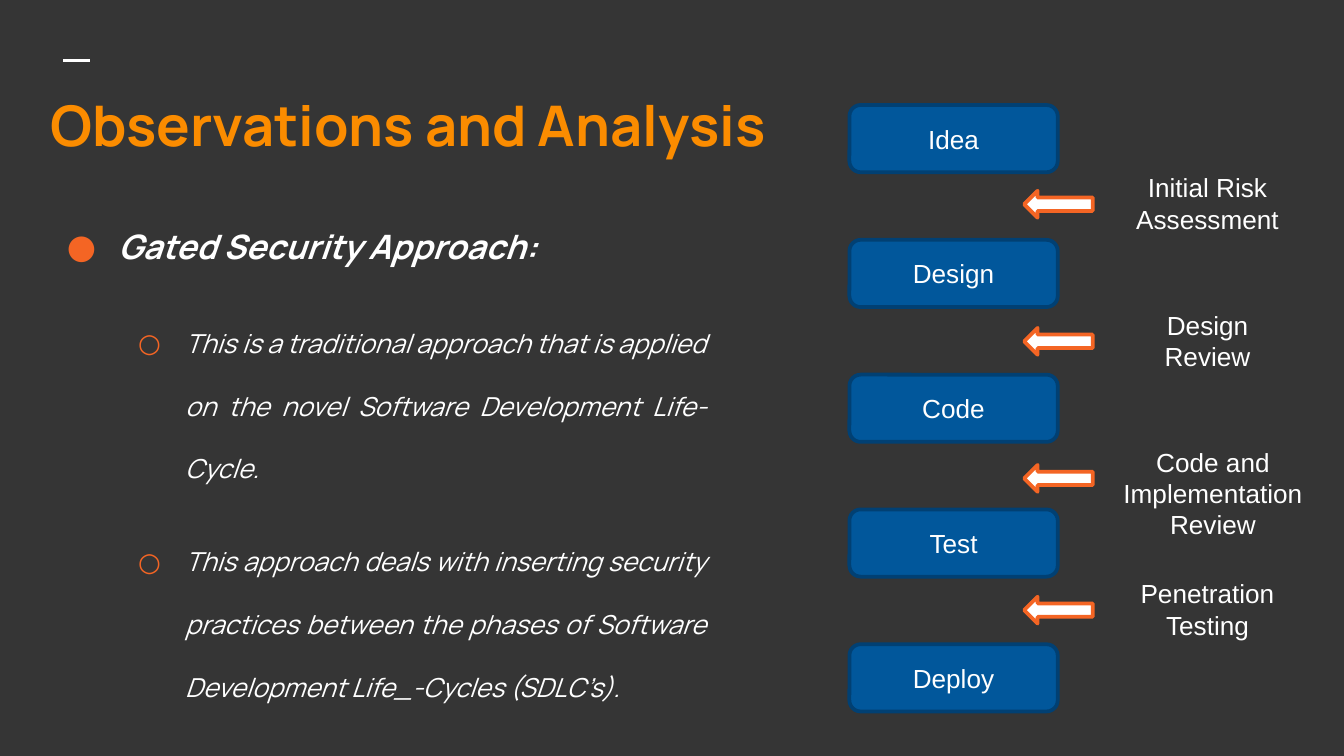
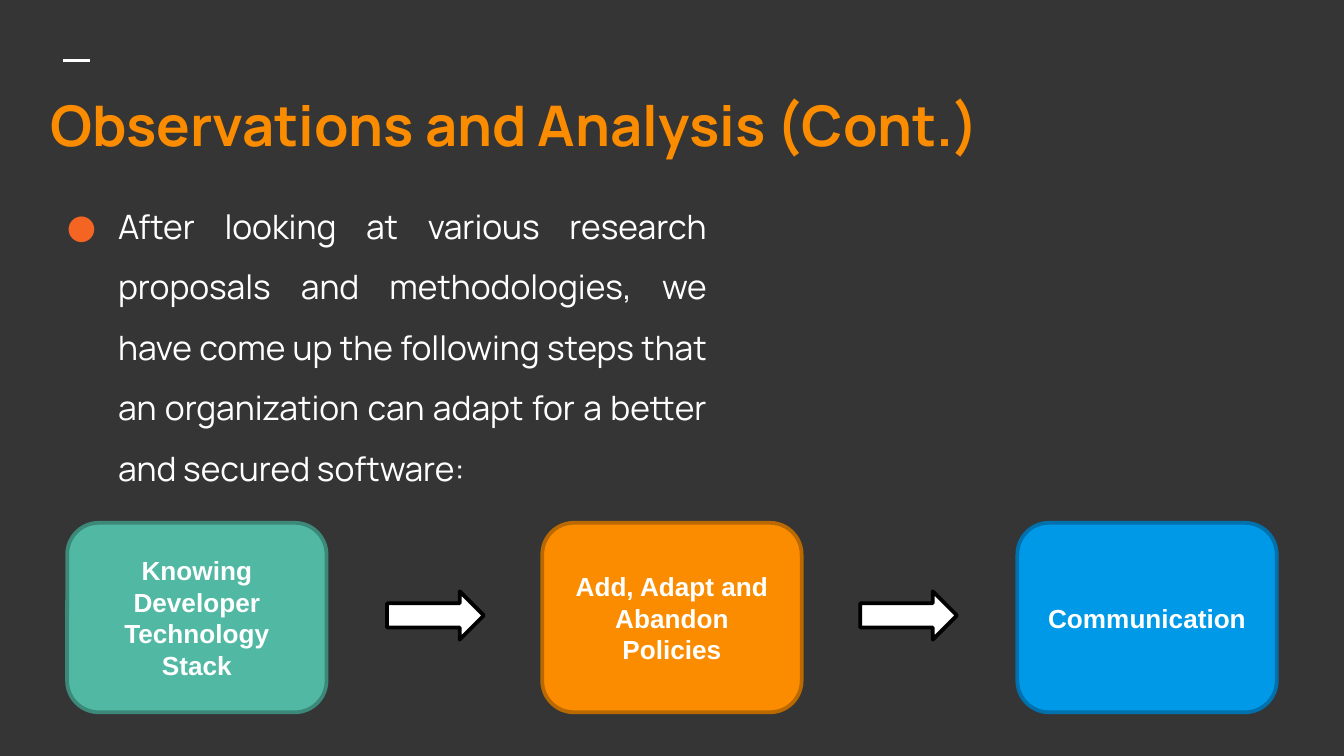
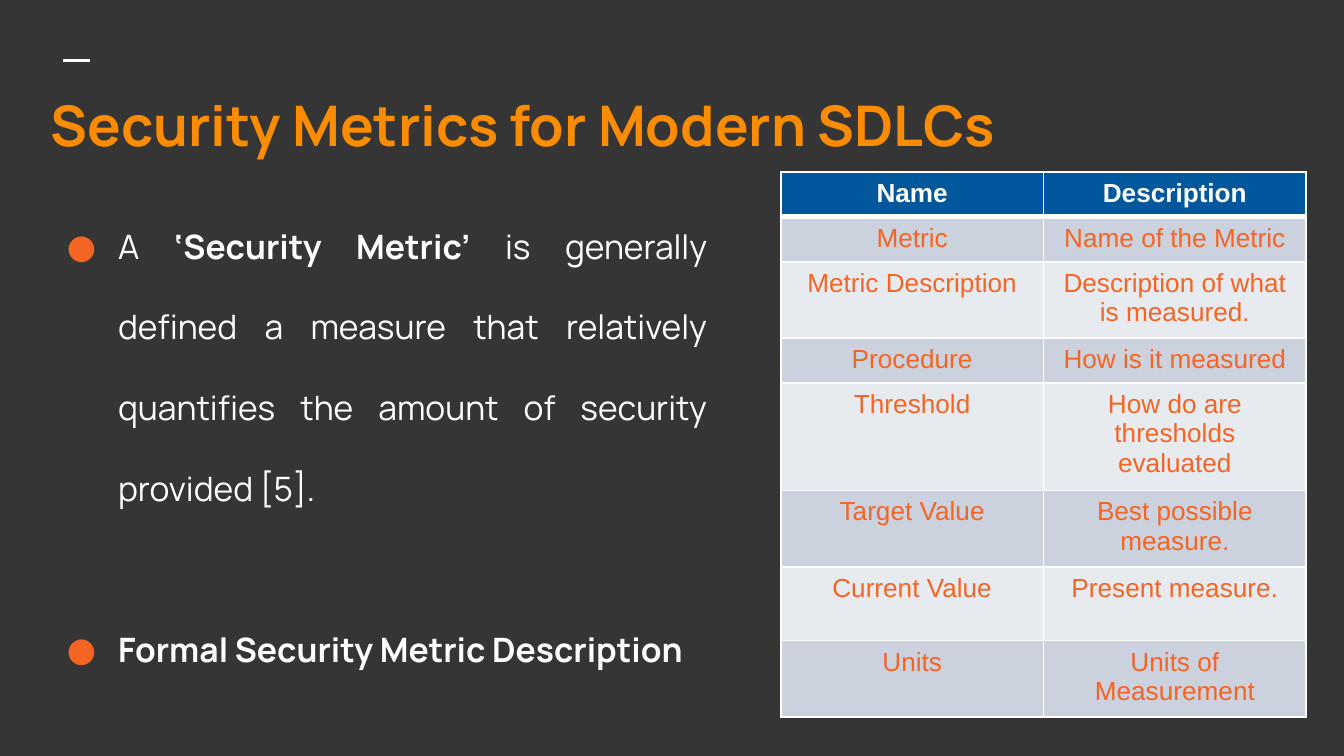
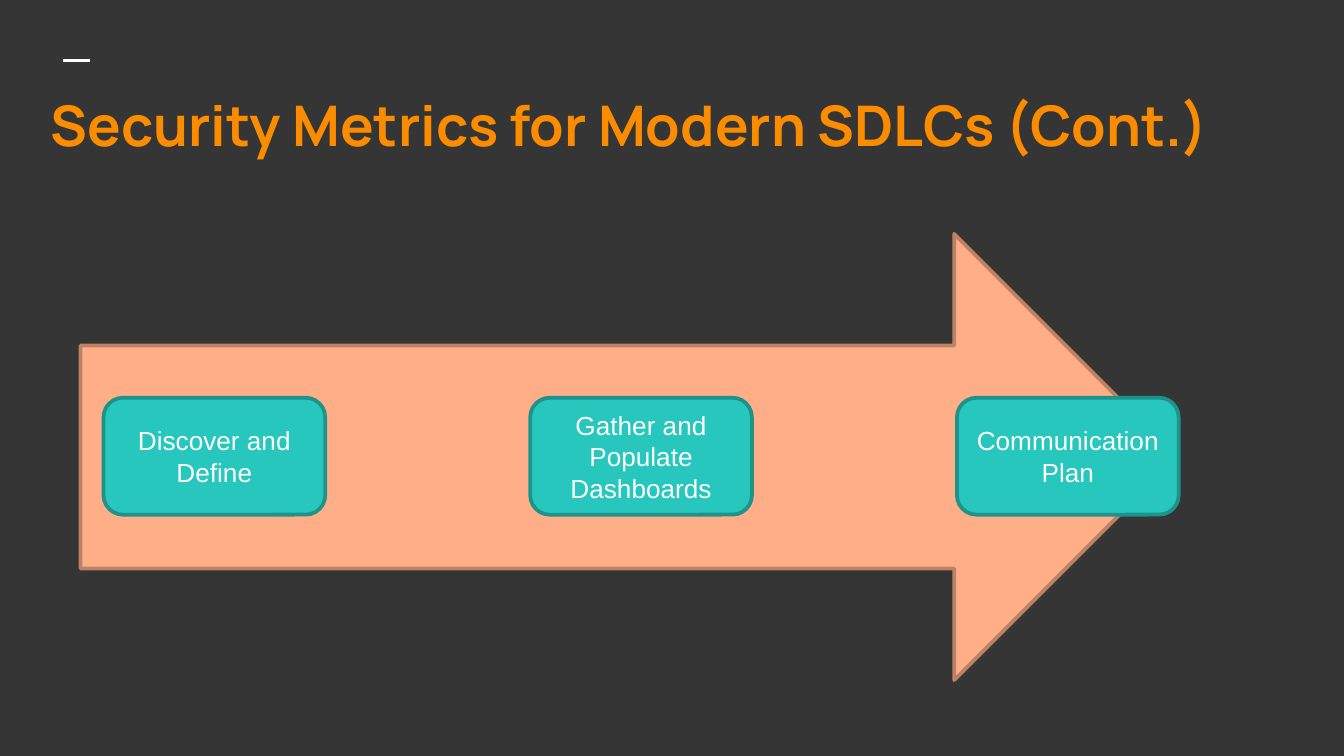
from lxml.etree import SubElement
from pptx import Presentation
from pptx.dml.color import RGBColor
from pptx.enum.shapes import MSO_CONNECTOR, MSO_SHAPE as Preset
from pptx.enum.text import MSO_ANCHOR as Anchor, PP_ALIGN as Align
from pptx.oxml.ns import qn
from pptx.util import Inches, Pt

# Colours and fonts
CHARCOAL = RGBColor(0x35, 0x35, 0x35)
WHITE = RGBColor(0xFF, 0xFF, 0xFF)
BLACK = RGBColor(0x00, 0x00, 0x00)
AMBER = RGBColor(0xFB, 0x8C, 0x00)
DARK_AMBER = RGBColor(0xBA, 0x68, 0x00)
ORANGE = RGBColor(0xF4, 0x65, 0x24)
NAVY = RGBColor(0x01, 0x57, 0x9B)
DARK_NAVY = RGBColor(0x01, 0x40, 0x73)
GREEN = RGBColor(0x51, 0xB9, 0xA3)
DARK_GREEN = RGBColor(0x3C, 0x89, 0x79)
SKY = RGBColor(0x00, 0x99, 0xE8)
DARK_SKY = RGBColor(0x00, 0x71, 0xAC)
PEACH = RGBColor(0xFF, 0xAE, 0x88)
DARK_PEACH = RGBColor(0xBD, 0x81, 0x65)
TEAL = RGBColor(0x27, 0xC7, 0xBD)
DARK_TEAL = RGBColor(0x1D, 0x93, 0x8C)
BAND = RGBColor(0xCC, 0xD1, 0xDE)
PALE_BAND = RGBColor(0xE7, 0xEA, 0xEF)
HEADING_FONT = "Manrope"
LABEL_FONT = "Arial"

# Square grid: all places and sizes are counted in its columns and rows
COLUMNS, ROWS = 100, 56.25


def add_bullet(paragraph, character, margin, indent):
    properties = paragraph._p.get_or_add_pPr()
    properties.set("marL", str(Inches(margin)))
    properties.set("indent", str(Inches(indent)))
    color = SubElement(properties, qn("a:buClr"))
    SubElement(color, qn("a:srgbClr"), val=str(ORANGE))
    SubElement(properties, qn("a:buFont"), typeface=HEADING_FONT)
    SubElement(properties, qn("a:buChar"), char=character)


def write(frame, text, size=14, font=LABEL_FONT, color=WHITE, bold=False, italic=False,
          align=Align.CENTER, spacing=None, before=None, level=0, bullet=None):
    """Add a paragraph; text is a string or a list of (string, bold) pairs."""
    paragraph = frame.paragraphs[0]
    if paragraph.runs:
        paragraph = frame.add_paragraph()
    paragraph.alignment = align
    paragraph.level = level
    if spacing:
        paragraph.line_spacing = spacing
    if before:
        paragraph.space_before = Pt(before)
    if bullet:
        add_bullet(paragraph, *bullet)
    for words, is_bold in [(text, bold)] if isinstance(text, str) else text:
        run = paragraph.add_run()
        run.text = words
        run.font.size, run.font.name = Pt(size), font
        run.font.bold, run.font.italic = is_bold, italic
        run.font.color.rgb = color


def write_point(frame, text, **format):
    write(frame, text, **{"size": 18, "font": HEADING_FONT, "align": Align.JUSTIFY,
                          "spacing": 2, "bullet": ("●", 0.5, -0.38), **format})


def set_border(cell, side, points):
    line = SubElement(cell._tc.get_or_add_tcPr(), qn(f"a:ln{side}"), w=str(Pt(points)))
    fill = SubElement(line, qn("a:solidFill"))
    SubElement(fill, qn("a:srgbClr"), val=str(WHITE))


class Deck:
    def __init__(self):
        self.presentation = Presentation()
        self.presentation.slide_width = Inches(10)
        self.presentation.slide_height = Inches(10) * 9 // 16
        self.slide = None

    def x(self, columns):
        return round(self.presentation.slide_width * columns / COLUMNS)

    def y(self, rows):
        return round(self.presentation.slide_height * rows / ROWS)

    def place(self, left, top, width, height):
        return self.x(left), self.y(top), self.x(width), self.y(height)

    def new_slide(self, title):
        self.slide = self.presentation.slides.add_slide(self.presentation.slide_layouts[6])
        background = self.slide.background.fill
        background.solid()
        background.fore_color.rgb = CHARCOAL
        self.dash()
        frame = self.text_box(2.8, 5.7, 94.4, 7.1, inset=1, anchor=Anchor.MIDDLE)
        write(frame, title, size=30, font=HEADING_FONT, color=AMBER, bold=True, align=Align.LEFT)

    def dash(self):
        dash = self.slide.shapes.add_connector(
            MSO_CONNECTOR.STRAIGHT, self.x(4.7), self.y(4.5), self.x(6.7), self.y(4.5))
        dash.line.color.rgb, dash.line.width = WHITE, Pt(1.5)
        SubElement(dash._element.spPr, qn("a:effectLst"))

    def text_box(self, left, top, width, height, inset=0.5, anchor=Anchor.TOP):
        frame = self.slide.shapes.add_textbox(*self.place(left, top, width, height)).text_frame
        frame.word_wrap = True
        frame.vertical_anchor = anchor
        frame.margin_top = frame.margin_bottom = self.y(inset)
        return frame

    def body(self, height=40.7):
        return self.text_box(2.8, 12.8, 50.8, height, inset=1)

    def shape(self, preset, left, top, width, height, fill, outline, text=None, **format):
        shape = self.slide.shapes.add_shape(preset, *self.place(left, top, width, height))
        shape.shadow.inherit = False
        shape.fill.solid()
        shape.fill.fore_color.rgb = fill
        shape.line.color.rgb, shape.line.width = outline, Pt(2)
        if text:
            shape.text_frame.word_wrap = True
            shape.text_frame.vertical_anchor = Anchor.MIDDLE
            write(shape.text_frame, text, **format)

    def table(self, left, top, width, heights, records):
        graphic = self.slide.shapes.add_table(
            len(records), len(records[0]), *self.place(left, top, width, sum(heights)))
        table = graphic.table
        table.horz_banding = False
        for index, (height, record) in enumerate(zip(heights, records)):
            table.rows[index].height = self.y(height)
            header = index == 0
            fill = NAVY if header else BAND if index % 2 else PALE_BAND
            borders = {"L": 1, "R": 1, "T": 3 if index == 1 else 1, "B": 3 if header else 1}
            for cell, text in zip(table.rows[index].cells, record):
                for side, points in borders.items():
                    set_border(cell, side, points)
                cell.fill.solid()
                cell.fill.fore_color.rgb = fill
                write(cell.text_frame, text, bold=header, color=WHITE if header else ORANGE)


def gated_approach(deck):
    deck.new_slide("Observations and Analysis")
    body = deck.body()
    write_point(body, "Gated Security Approach:", bold=True, italic=True)
    for text in (
        "This is a traditional approach that is applied on the novel Software "
        "Development Life-Cycle.",
        "This approach deals with inserting security practices between the phases of "
        "Software Development Life_-Cycles (SDLC’s).",
    ):
        write_point(body, text, size=14, italic=True, before=16, level=1,
                    bullet=("○", 1, -0.35))

    # Phases
    for index, phase in enumerate(("Idea", "Design", "Code", "Test", "Deploy")):
        deck.shape(Preset.ROUNDED_RECTANGLE, 63.2, 7.82 + index * 10.03, 15.5, 5,
                   NAVY, DARK_NAVY, phase)

    # Gates between the phases
    gates = (
        ("Initial Risk Assessment", 14.2, 82.5, 14.7, 5.7),
        ("Design Review", 24.4, 82.5, 14.7, 5.7),
        ("Code and Implementation Review", 34.6, 82.5, 15.5, 8.1),
        ("Penetration Testing", 44.4, 82.1, 15.5, 5.7),
    )
    for gate, top, left, width, height in gates:
        deck.shape(Preset.LEFT_ARROW, 76.2, top, 5.1, 2, WHITE, ORANGE)
        write(deck.text_box(left, top - 1.9, width, height), gate)


def proposed_steps(deck):
    deck.new_slide("Observations and Analysis (Cont.)")
    write_point(deck.body(24.7),
                "After looking at various research proposals and methodologies, we have come up "
                "the following steps that an organization can adapt for a better and secured "
                "software:", spacing=1.5)
    steps = (
        ("Knowing Developer Technology Stack", GREEN, DARK_GREEN),
        ("Add, Adapt and Abandon Policies", AMBER, DARK_AMBER),
        ("Communication", SKY, DARK_SKY),
    )
    for index, (step, fill, outline) in enumerate(steps):
        deck.shape(Preset.ROUNDED_RECTANGLE, 5 + index * 35.35, 38.9, 19.3, 14.1,
                   fill, outline, step, bold=True)
    for index in range(len(steps) - 1):
        deck.shape(Preset.RIGHT_ARROW, 28.8 + index * 35.2, 44, 7.2, 3.6, WHITE, BLACK)


def metric_description(deck):
    deck.new_slide("Security Metrics for Modern SDLCs")
    body = deck.body()
    write_point(body, [
        ("A ", False),
        ("‘Security Metric’", True),
        (" is generally defined a measure that relatively quantifies the amount of "
         "security provided [5].", False),
    ])
    write_point(body, "Formal Security Metric Description", bold=True, before=43)
    deck.table(58.1, 12.8, 39.1, (3.2, 3.2, 5.5, 3.2, 7.8, 5.5, 5.5, 5.4), (
        ("Name", "Description"),
        ("Metric", "Name of the Metric"),
        ("Metric Description", "Description of what is measured."),
        ("Procedure", "How is it measured"),
        ("Threshold", "How do are thresholds evaluated"),
        ("Target Value", "Best possible measure."),
        ("Current Value", "Present measure."),
        ("Units", "Units of Measurement"),
    ))


def metric_process(deck):
    deck.new_slide("Security Metrics for Modern SDLCs (Cont.)")
    deck.shape(Preset.RIGHT_ARROW, 6, 17.4, 81.6, 33.2, PEACH, DARK_PEACH)
    stages = ("Discover and Define", "Gather and Populate Dashboards", "Communication Plan")
    for index, stage in enumerate(stages):
        deck.shape(Preset.ROUNDED_RECTANGLE, 7.7 + index * 31.75, 29.6, 16.5, 8.7,
                   TEAL, DARK_TEAL, stage)


def main():
    deck = Deck()
    for build in (gated_approach, proposed_steps, metric_description, metric_process):
        build(deck)
    deck.presentation.save("out.pptx")


if __name__ == "__main__":
    main()
